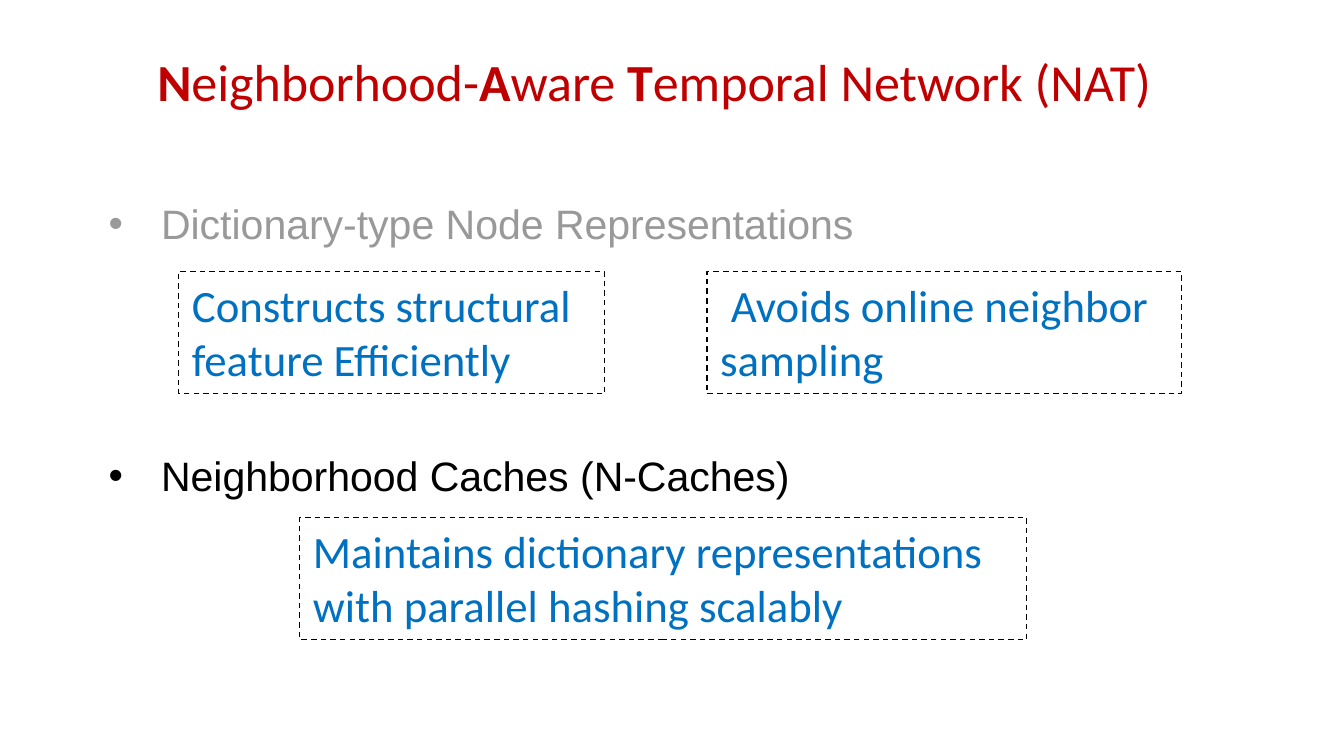
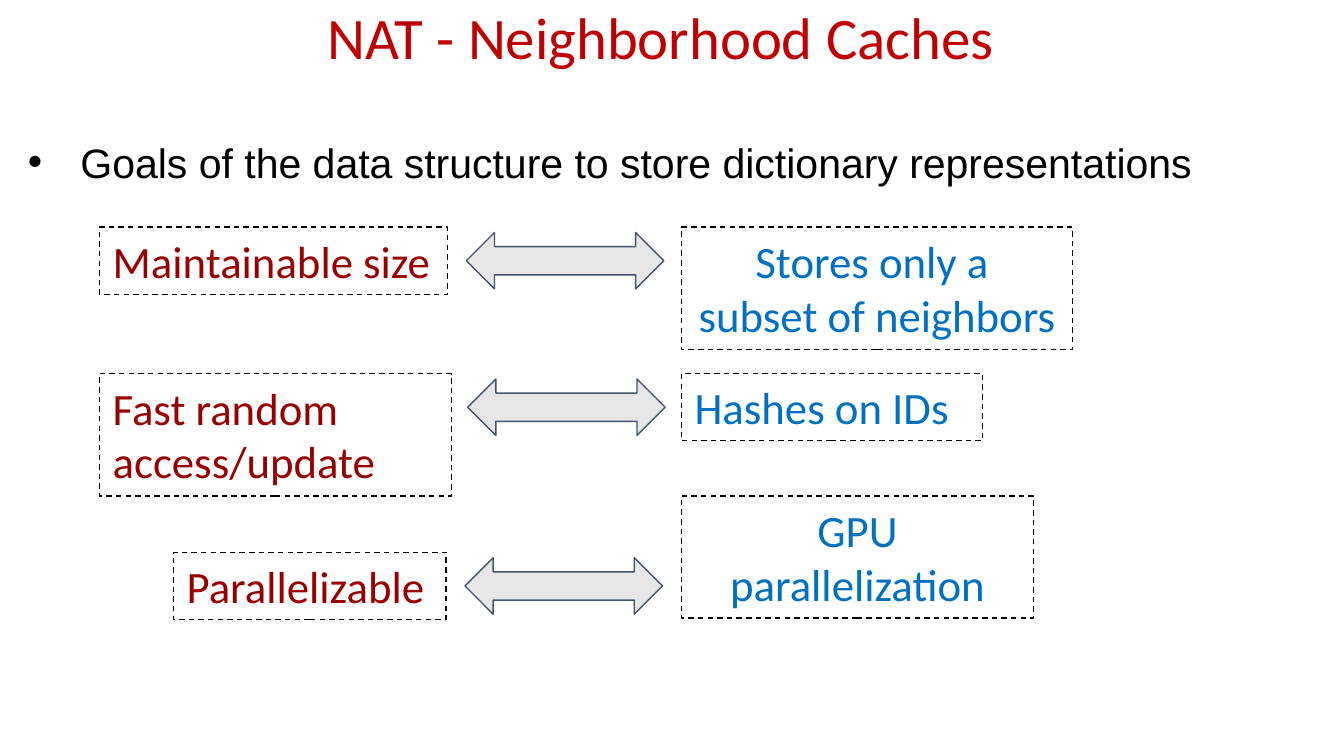
import pptx
import pptx.util
import pptx.dml.color
import pptx.enum.dml
import pptx.enum.shapes
import pptx.enum.text
import pptx.oxml.ns
from lxml import etree

Inches, Pt = pptx.util.Inches, pptx.util.Pt
ALIGN = pptx.enum.text.PP_ALIGN
SHAPE = pptx.enum.shapes.MSO_SHAPE

RED, DARK_RED, BLUE = "C00000", "980000", "0070C0"
BLACK, GREY, SILVER, SLATE = "000000", "999999", "E7E6E6", "44546A"
ONE_LINE, TWO_LINES = 0.5, 0.91  # heights of dashed boxes

# Content: titles are (text, bold) runs; bullets are (text, left, top, colour);
# boxes are (text, left, top, width, height, colour, align, first-line indent)
SLIDES = [
    {
        "title": [("N", True), ("eighborhood-", False), ("A", True), ("ware ", False),
                  ("T", True), ("emporal Network (NAT)", False)],
        "title_box": (1.1, 0.17, 7.69, 0.92), "title_size": 27.9,
        "title_inset": 0.07, "title_align": ALIGN.LEFT,
        "bullets": [
            ("Dictionary-type Node Representations", 0.71, 1.38, GREY),
            ("Neighborhood Caches (N-Caches)", 0.71, 3.25, BLACK),
        ],
        "boxes": [
            ("Avoids online neighbor sampling",
             5.26, 2.02, 3.53, TWO_LINES, BLUE, ALIGN.LEFT, 0.08),
            ("Constructs structural feature Efficiently",
             1.33, 2.02, 3.17, TWO_LINES, BLUE, ALIGN.LEFT, 0),
            ("Maintains dictionary representations with parallel hashing scalably",
             2.23, 3.85, 5.41, TWO_LINES, BLUE, ALIGN.LEFT, 0),
        ],
        "arrows": [],
    },
    {
        "title": [("NAT - Neighborhood Caches", False)],
        "title_box": (0.92, 0, 7.99, 0.6), "title_size": 31.5,
        "title_inset": 0.08, "title_align": ALIGN.CENTER,
        "bullets": [
            ("Goals of the data structure to store dictionary representations",
             0.11, 0.92, BLACK),
        ],
        "boxes": [
            ("Maintainable size", 0.74, 1.69, 2.59, ONE_LINE, DARK_RED, ALIGN.LEFT, 0),
            ("Fast random access/update",
             0.74, 2.78, 2.62, TWO_LINES, DARK_RED, ALIGN.LEFT, 0),
            ("Parallelizable", 1.29, 4.11, 2.03, ONE_LINE, DARK_RED, ALIGN.LEFT, 0),
            ("Stores only a \vsubset of neighbors",
             5.07, 1.69, 2.91, TWO_LINES, BLUE, ALIGN.CENTER, 0),
            ("Hashes on IDs", 5.07, 2.78, 2.24, ONE_LINE, BLUE, ALIGN.LEFT, 0),
            ("GPU parallelization", 5.07, 3.69, 2.62, TWO_LINES, BLUE, ALIGN.CENTER, 0),
        ],
        "arrows": [(3.47, 1.73), (3.48, 2.82), (3.46, 4.15)],
    },
]


def rgb(hex_colour):
    return pptx.dml.color.RGBColor.from_string(hex_colour)


def style(p, size, font, colour):
    for r in p.runs:
        r.font.size = Pt(size)
        r.font.name = font
        r.font.color.rgb = rgb(colour)


def set_frame(tf, inset_x, inset_y, anchor=pptx.enum.text.MSO_ANCHOR.TOP):
    tf.word_wrap = True
    tf.vertical_anchor = anchor
    tf.margin_left = tf.margin_right = Inches(inset_x)
    tf.margin_top = tf.margin_bottom = Inches(inset_y)


def set_indent(p, left, first):
    pPr = p._p.get_or_add_pPr()
    pPr.set("marL", str(Inches(left)))
    pPr.set("indent", str(Inches(first)))
    return pPr


def add_title(s, slide):
    tf = s.shapes.add_textbox(*map(Inches, slide["title_box"])).text_frame
    set_frame(tf, slide["title_inset"], 0.04, pptx.enum.text.MSO_ANCHOR.MIDDLE)
    p = tf.paragraphs[0]
    p.alignment = slide["title_align"]
    p.line_spacing = 0.9
    for text, bold in slide["title"]:
        r = p.add_run()
        r.text = text
        r.font.bold = bold
    style(p, slide["title_size"], "Calibri", RED)


def add_bullet(s, text, left, top, colour):
    tf = s.shapes.add_textbox(*map(Inches, (left, top, 8.92, 0.57))).text_frame
    set_frame(tf, 0.1, 0.1)
    tf.text = text
    p = tf.paragraphs[0]
    pPr = set_indent(p, 0.39, -0.39)
    qn = pptx.oxml.ns.qn
    bullet_colour = etree.SubElement(pPr, qn("a:buClr"))
    etree.SubElement(bullet_colour, qn("a:srgbClr"), val=colour)
    etree.SubElement(pPr, qn("a:buFont"), typeface="Arial")
    etree.SubElement(pPr, qn("a:buChar"), char="•")
    style(p, 22, "Arial", colour)


def add_outlined(s, kind, box, line):
    sp = s.shapes.add_shape(kind, *map(Inches, box))
    sp.shadow.inherit = False
    sp.line.color.rgb = rgb(line)
    sp.line.width = Pt(0.75)
    return sp


def add_box(s, text, left, top, width, height, colour, align, first):
    sp = add_outlined(s, SHAPE.RECTANGLE, (left, top, width, height), BLACK)
    sp.fill.background()
    sp.line.dash_style = pptx.enum.dml.MSO_LINE.DASH
    tf = sp.text_frame
    set_frame(tf, 0.1, 0.05)
    tf.text = text
    p = tf.paragraphs[0]
    p.alignment = align
    set_indent(p, 0, first)
    style(p, 24, "Calibri", colour)


def add_arrow(s, left, top):
    sp = add_outlined(s, SHAPE.LEFT_RIGHT_ARROW, (left, top, 1.47, 0.42), SLATE)
    sp.fill.solid()
    sp.fill.fore_color.rgb = rgb(SILVER)


def main():
    prs = pptx.Presentation()
    prs.slide_width = Inches(10)
    prs.slide_height = prs.slide_width * 9 // 16
    for slide in SLIDES:
        s = prs.slides.add_slide(prs.slide_layouts[6])
        add_title(s, slide)
        for bullet in slide["bullets"]:
            add_bullet(s, *bullet)
        for box in slide["boxes"]:
            add_box(s, *box)
        for arrow in slide["arrows"]:
            add_arrow(s, *arrow)
    prs.save("out.pptx")


if __name__ == "__main__":
    main()
